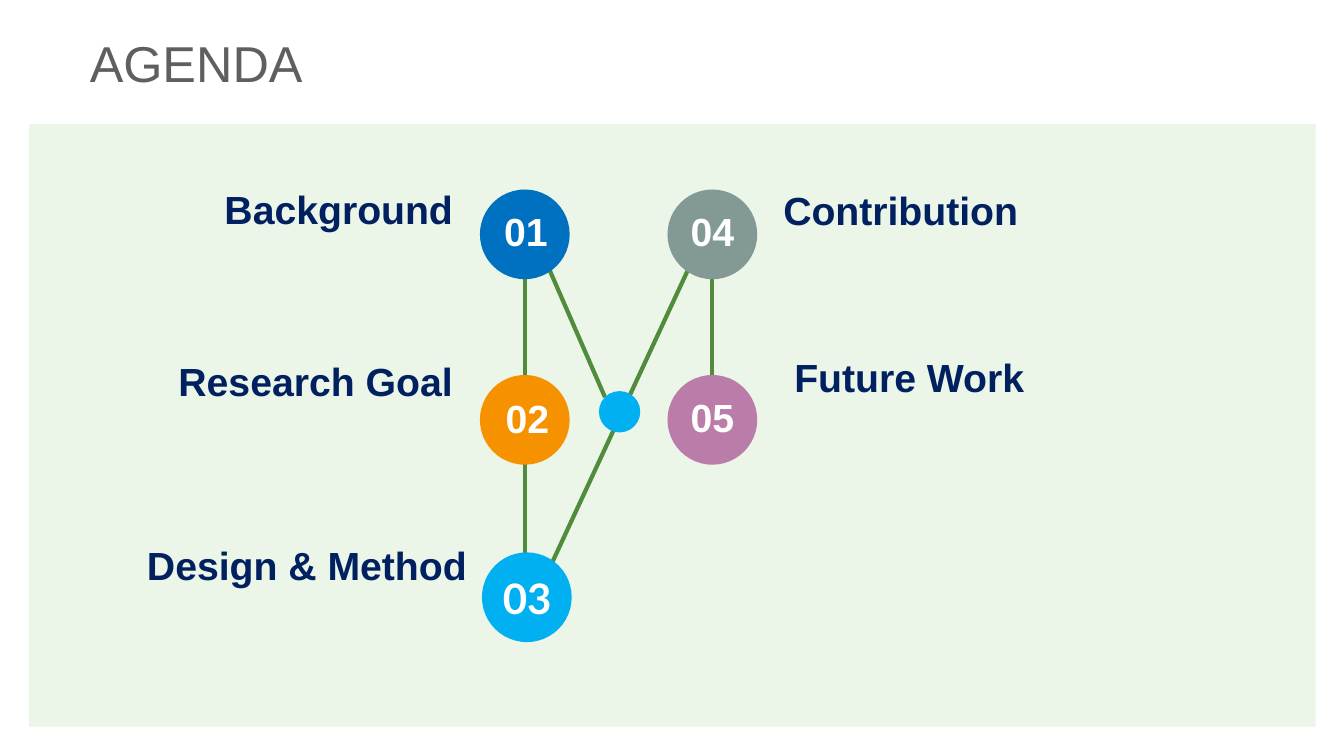
from pptx import Presentation
from pptx import util as u
from pptx.dml.color import RGBColor
from pptx.enum import shapes, text
from pptx.oxml.ns import qn
from lxml import etree

PX = 9144
DISC = 89
NAVY, WHITE, GREEN, SKY = "002060", "FFFFFF", "508C3C", "00B0F0"
LEFT, CENTER, RIGHT = text.PP_ALIGN.LEFT, text.PP_ALIGN.CENTER, text.PP_ALIGN.RIGHT


def emu(*px):
    return [u.Emu(v * PX) for v in px]


def rgb(value):
    return RGBColor.from_string(value)


def add_run(p, words, size, color, font="Arial", bold=True):
    r = p.add_run()
    r.text = words
    r.font.size = u.Pt(size)
    r.font.name = font
    r.font.bold = bold
    r.font.color.rgb = rgb(color)


def add_title(s, words):
    sp = s.shapes.title
    sp.left, sp.top, sp.width, sp.height = emu(79, 0, 1131, 123)
    tf = sp.text_frame
    tf.auto_size = text.MSO_AUTO_SIZE.NONE
    tf.vertical_anchor = text.MSO_ANCHOR.MIDDLE
    p = tf.paragraphs[0]
    p.alignment = LEFT
    add_run(p, words, 36, "5F5F5F", bold=False)


def add_filled(s, kind, box, color):
    sp = s.shapes.add_shape(kind, *emu(*box))
    sp.shadow.inherit = False
    sp.fill.solid()
    sp.fill.fore_color.rgb = rgb(color)
    sp.line.fill.background()


def add_disc(s, left, top, color, size=DISC):
    add_filled(s, shapes.MSO_SHAPE.OVAL, (left, top, size, size), color)


def add_link(s, *ends):
    line = s.shapes.add_connector(shapes.MSO_CONNECTOR.STRAIGHT, *emu(*ends))
    line.line.color.rgb = rgb(GREEN)
    line.line.width = u.Pt(3)
    etree.SubElement(line._element.spPr, qn("a:effectLst"))


def add_label(s, words, box, align, color=NAVY, size=28, font="Arial"):
    tf = s.shapes.add_textbox(*emu(*box)).text_frame
    tf.word_wrap = True
    tf.margin_left = tf.margin_right = emu(10)[0]
    tf.margin_top = tf.margin_bottom = 0
    p = tf.paragraphs[0]
    p.alignment = align
    add_run(p, words, size, color, font)


def main():
    prs = Presentation()
    prs.slide_width, prs.slide_height = emu(1333, 750)
    s = prs.slides.add_slide(prs.slide_layouts[5])
    add_title(s, "AGENDA")
    add_filled(s, shapes.MSO_SHAPE.RECTANGLE, (29, 123, 1276, 598), "EBF5E8")

    for ends in [
        (531, 594, 692, 247),
        (706, 253, 706, 396),
        (521, 259, 521, 606),
        (536, 247, 600, 394),
    ]:
        add_link(s, *ends)
    add_disc(s, 594, 388, SKY, 41)

    topics = [
        ("01", (476, 188), "0070C0", (470, 206, 103, 53),
         "Background", (198, 184, 261, 41), RIGHT),
        ("02", (476, 372), "F69200", (445, 391, 156, 89),
         "Research Goal", (121, 354, 384, 143), CENTER),
        ("03", (478, 548), SKY, (445, 568, 156, 89),
         "Design & Method", (136, 537, 404, 45), LEFT),
        ("04", (662, 188), "829995", (655, 206, 103, 53),
         "Contribution", (767, 185, 261, 41), LEFT),
        ("05", (662, 372), "BA7DAA", (655, 390, 103, 53),
         "Future Work", (778, 350, 261, 41), LEFT),
    ]
    for number, corner, color, number_box, topic, topic_box, align in topics:
        add_disc(s, *corner, color)
        size, font = (30, "Lato") if number == "03" else (28, "Arial")
        add_label(s, number, number_box, CENTER, WHITE, size, font)
        add_label(s, topic, topic_box, align)

    prs.save("out.pptx")


if __name__ == "__main__":
    main()
